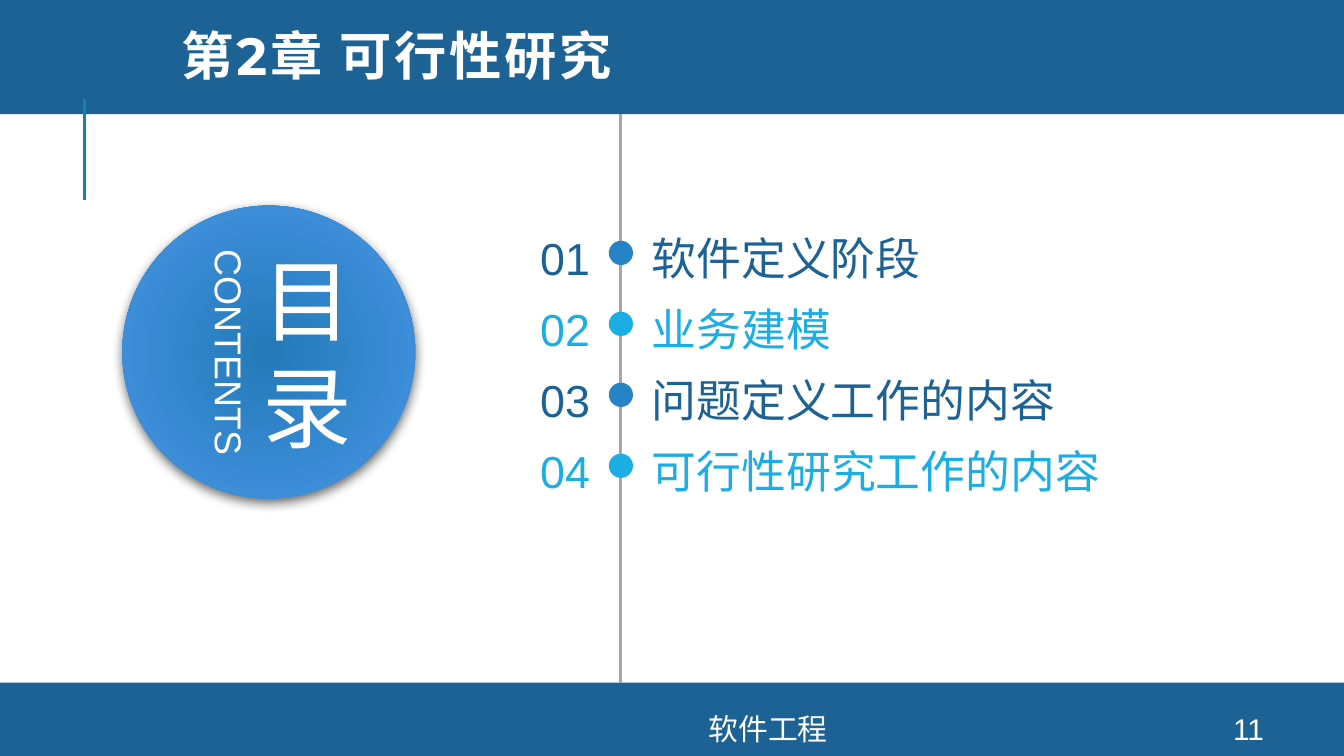
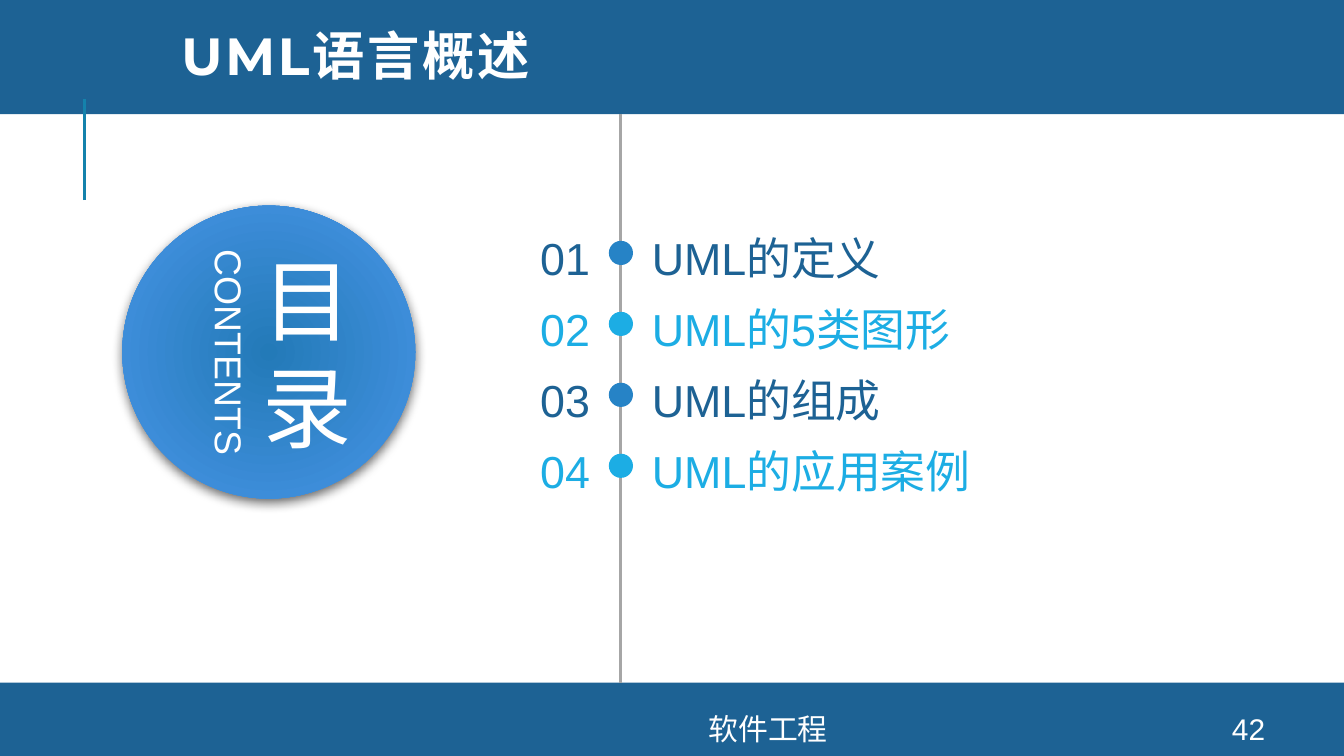
from dataclasses import dataclass

from lxml import etree
from pptx import Presentation
from pptx import util as u
from pptx.dml.color import RGBColor
from pptx.enum import shapes, text
from pptx.oxml.ns import qn

COLORS = {
    "band": "1D6294",
    "tick": "1482AC",
    "axis": "A6A6A6",
    "disc_core": "237AB8",
    "disc_edge": "4895E7",
    "dot": "2683C6",
    "accent": "1CADE4",
    "white": "FFFFFF",
    "shadow": "000000",
}
COLS, ROWS = 100, 56.25
WIDTH, HEIGHT = u.Inches(10), u.Inches(5.625)
ENTRY_PITCH = 5.28
ENTRY_WIDTHS = (33.7, 33.7, 33.7, 40.1)
LEFT, CENTER, RIGHT = text.PP_ALIGN.LEFT, text.PP_ALIGN.CENTER, text.PP_ALIGN.RIGHT
TOP, MIDDLE = text.MSO_ANCHOR.TOP, text.MSO_ANCHOR.MIDDLE


@dataclass(frozen=True)
class Area:
    col: float
    row: float
    cols: float
    rows: float

    def emu(self) -> tuple[int, int, int, int]:
        return x(self.col), y(self.row), x(self.cols), y(self.rows)


@dataclass(frozen=True)
class Style:
    size: float
    color: str = "white"
    align: int = LEFT
    anchor: int = TOP
    font: str = "Arial"
    bold: bool = False
    spacing: float = 0
    padded: bool = True
    grow: bool = False


@dataclass(frozen=True)
class Rule:
    col: float
    start: float
    end: float
    color: str


@dataclass(frozen=True)
class Agenda:
    title: str
    number: str
    entries: tuple[str, ...]


BANDS = (Area(0, -0.3, COLS, 8.8), Area(0, 50.8, COLS, 5.45))
RULES = (Rule(6.3, 14.9, 7.4, "tick"), Rule(46.2, 8.5, 50.8, "axis"))
TITLE_STYLE = Style(28, anchor=MIDDLE, font="Montserrat", bold=True, spacing=1.5)
HEADING_STYLE = Style(48, align=CENTER, anchor=MIDDLE, spacing=6, padded=False)
CAPTION_STYLE = Style(20, align=CENTER, grow=True)
FOOTER_STYLE = Style(16, align=CENTER, anchor=MIDDLE)
AGENDAS = (
    Agenda("第2章 可行性研究", "11",
           ("软件定义阶段", "业务建模", "问题定义工作的内容", "可行性研究工作的内容")),
    Agenda("UML语言概述", "42",
           ("UML的定义", "UML的5类图形", "UML的组成", "UML的应用案例")),
)


def x(cols: float) -> int:
    return round(WIDTH * cols / COLS)


def y(rows: float) -> int:
    return round(HEIGHT * rows / ROWS)


def rgb(name: str) -> RGBColor:
    return RGBColor.from_string(COLORS[name])


def write(tf, lines: tuple[str, ...], style: Style) -> None:
    tf.word_wrap = True
    tf.vertical_anchor = style.anchor
    tf.auto_size = (text.MSO_AUTO_SIZE.SHAPE_TO_FIT_TEXT if style.grow
                    else text.MSO_AUTO_SIZE.NONE)
    side, edge = (u.Inches(0.1), u.Inches(0.05)) if style.padded else (0, 0)
    tf.margin_left = tf.margin_right = side
    tf.margin_top = tf.margin_bottom = edge
    for i, line in enumerate(lines):
        p = tf.add_paragraph() if i else tf.paragraphs[0]
        p.alignment = style.align
        r = p.add_run()
        r.text = line
        r.font.size = u.Pt(style.size)
        r.font.name = style.font
        r.font.bold = style.bold
        r.font.color.rgb = rgb(style.color)
        if style.spacing:
            r.font._element.set("spc", str(round(style.spacing * 100)))


def add_label(s, area: Area, style: Style, *lines: str):
    sp = s.shapes.add_textbox(*area.emu())
    write(sp.text_frame, lines, style)
    return sp


def add_block(s, kind: int, area: Area, color: str):
    sp = s.shapes.add_shape(kind, *area.emu())
    sp.shadow.inherit = False
    sp.fill.solid()
    sp.fill.fore_color.rgb = rgb(color)
    sp.line.fill.background()
    return sp


def add_rule(s, rule: Rule) -> None:
    line = s.shapes.add_connector(shapes.MSO_CONNECTOR.STRAIGHT, x(rule.col),
                                  y(rule.start), x(rule.col), y(rule.end))
    line.line.color.rgb = rgb(rule.color)
    line.line.width = u.Pt(1.5)
    etree.SubElement(line._element.spPr, qn("a:effectLst"))


def add_disc(s) -> None:
    sp = add_block(s, shapes.MSO_SHAPE.OVAL, Area(9.1, 15.3, 21.8, 21.8), "disc_core")
    sp.fill.gradient()
    for stop, color, position in zip(sp.fill.gradient_stops,
                                     ("disc_core", "disc_edge"), (0, 1)):
        stop.color.rgb = rgb(color)
        stop.position = position
    props = sp._element.spPr
    gradient = props.find(qn("a:gradFill"))
    gradient.remove(gradient.find(qn("a:lin")))
    radial = etree.SubElement(gradient, qn("a:path"), {"path": "circle"})
    etree.SubElement(radial, qn("a:fillToRect"), dict.fromkeys("ltrb", "100000"))
    shadow = etree.SubElement(props.find(qn("a:effectLst")), qn("a:outerShdw"), {
        "blurRad": str(u.Pt(6)), "dist": str(u.Pt(2)),
        "dir": "5400000", "algn": "t", "rotWithShape": "0"})
    tone = etree.SubElement(shadow, qn("a:srgbClr"), {"val": COLORS["shadow"]})
    etree.SubElement(tone, qn("a:alpha"), {"val": "60000"})


def add_frame(s) -> None:
    for band in BANDS:
        add_block(s, shapes.MSO_SHAPE.RECTANGLE, band, "band")
    for rule in RULES:
        add_rule(s, rule)
    add_disc(s)
    add_label(s, Area(15.8, 16.1, 14.1, 20.2), HEADING_STYLE, "目", "录")
    caption = add_label(s, Area(6.5, 24, 21.1, 4.4), CAPTION_STYLE, "CONTENTS")
    caption.rotation = 90


def add_entry(s, index: int, entry: str, width: float) -> None:
    shift = index * ENTRY_PITCH
    dot, ink = ("accent", "accent") if index % 2 else ("dot", "band")
    add_block(s, shapes.MSO_SHAPE.OVAL, Area(45.3, 17.92 + shift, 1.8, 1.8), dot)
    row = 17.15 + shift
    add_label(s, Area(38, row, 5.9, 4),
              Style(24, ink, RIGHT, padded=False, grow=True), f"{index + 1:02d}")
    add_label(s, Area(48.5, row, width, 4),
              Style(24, ink, padded=False, grow=True), entry)


def set_title(s, title: str) -> None:
    sp = s.shapes.title
    sp.left, sp.top, sp.width, sp.height = Area(12.5, 0.9, 82.6, 7.2).emu()
    write(sp.text_frame, (title,), TITLE_STYLE)
    sp.text_frame.paragraphs[0].line_spacing = 0.8
    s.shapes._spTree.append(sp._element)


def add_agenda(prs, agenda: Agenda) -> None:
    s = prs.slides.add_slide(prs.slide_layouts.get_by_name("Title Only"))
    add_frame(s)
    add_label(s, Area(26.1, 53.1, 62.1, 2.3), FOOTER_STYLE, "软件工程")
    add_label(s, Area(88.9, 53.1, 8, 2.3), FOOTER_STYLE, agenda.number)
    for index, (entry, width) in enumerate(zip(agenda.entries, ENTRY_WIDTHS)):
        add_entry(s, index, entry, width)
    set_title(s, agenda.title)


def main() -> None:
    prs = Presentation()
    prs.slide_width, prs.slide_height = WIDTH, HEIGHT
    for agenda in AGENDAS:
        add_agenda(prs, agenda)
    prs.save("out.pptx")


if __name__ == "__main__":
    main()
